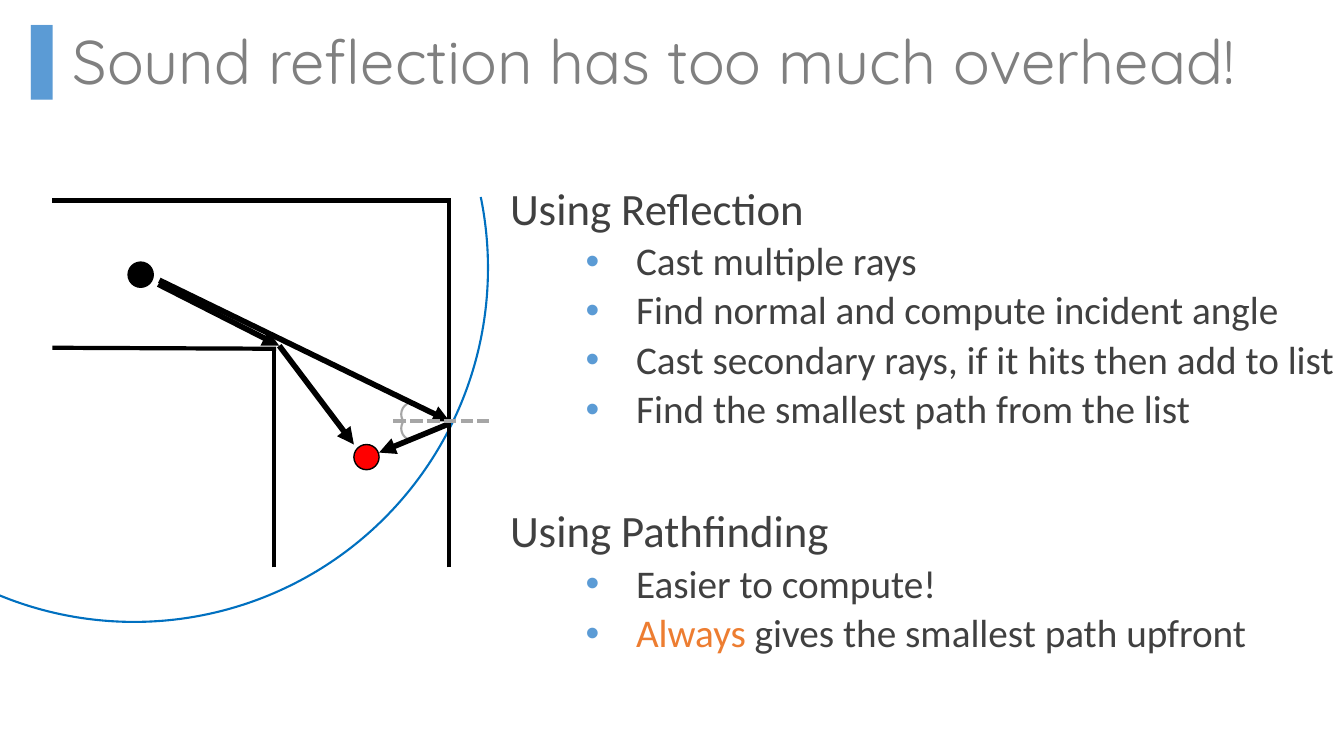
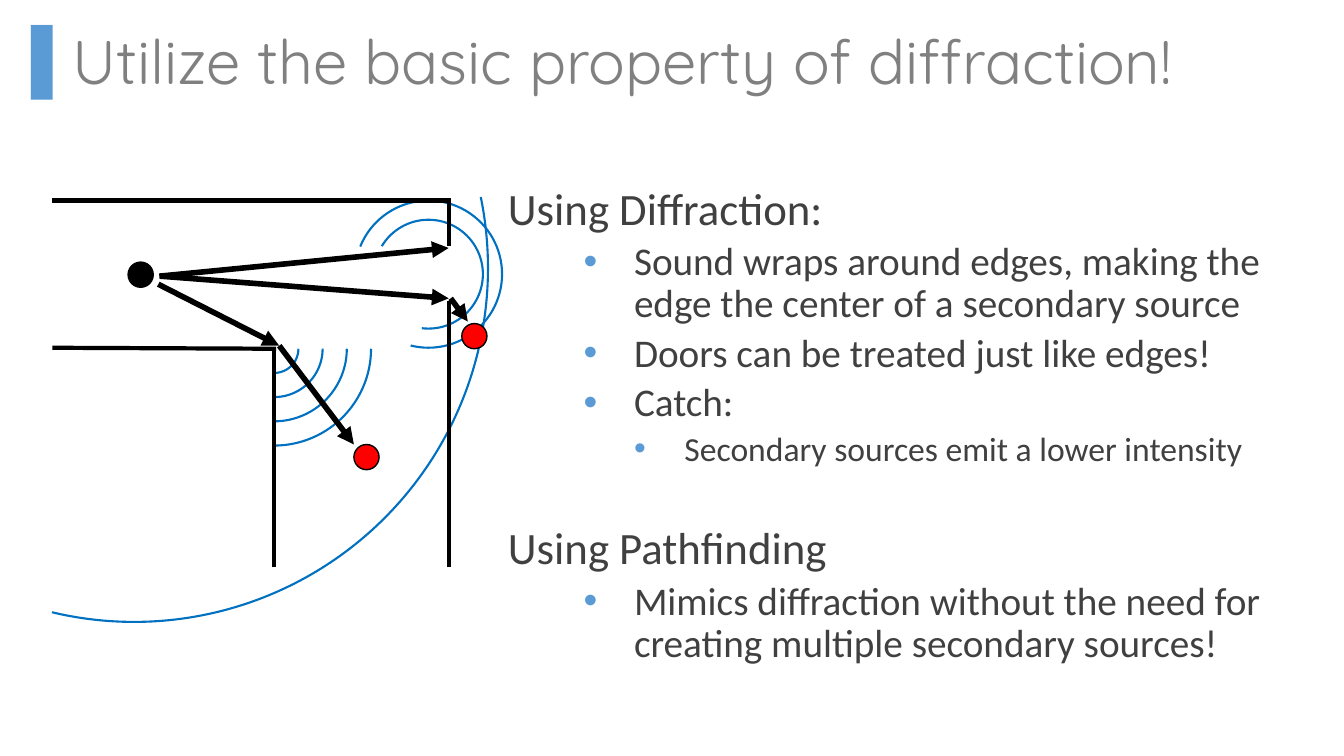
"""Build two slides comparing sound reflection and diffraction with pathfinding."""
from lxml import etree
from pptx import Presentation, util as u
from pptx.dml.color import RGBColor
from pptx.enum import dml, shapes
from pptx.oxml import ns

BLACK = RGBColor(0x00, 0x00, 0x00)
RED = RGBColor(0xFF, 0x00, 0x00)
WAVE = RGBColor(0x00, 0x70, 0xC0)
ACCENT = RGBColor(0x5B, 0x9B, 0xD5)
ORANGE = RGBColor(0xED, 0x7D, 0x31)
GREY = RGBColor(0x80, 0x80, 0x80)
PALE = RGBColor(0xA6, 0xA6, 0xA6)
INK = RGBColor(0x40, 0x40, 0x40)

WALL = {"color": BLACK, "width": 3}
RAY = {"color": BLACK, "width": 4, "arrow": True}
DASH = {"color": PALE, "width": 3, "dash": dml.MSO_LINE.SQUARE_DOT}

HEAD = {"size": 32, "before": 10, "left": 0}
ITEM = {"size": 28, "before": 5, "left": 1.25, "hang": 0.5, "mark": "•"}
SUB = {**ITEM, "size": 24, "left": 1.75}
TITLE = {"size": 44, "before": 0, "left": 0.62, "hang": 0.62, "mark": "▐",
         "font": "Quicksand", "color": GREY, "lead": 1.0}

SOURCE = (1.33, 2.66)
EDGE = (2.72, 3.46)
DOOR = (4.25, 2.72)
ROOM = [
    (0.52, 1.99, 4.47, 1.99, WALL),
    (0.52, 3.45, 2.74, 3.46, WALL),
    (2.72, 5.63, 2.72, 3.45, WALL),
    (1.57, 2.82, 2.77, 3.43, RAY),
    (2.77, 3.43, 3.51, 4.41, RAY),
]
DOTS = [(1.27, 2.6, BLACK), (3.51, 4.41, RED)]

PAGES = [
    {
        "title": "Sound reflection has too much overhead!",
        "left": 4.96,
        "arcs": [
            (*SOURCE, 3.51, 348.4, 112.4, WAVE),
            (4.1, 4.11, 0.12, 150, 240, PALE),
            (4.1, 4.25, 0.12, 120, 210, PALE),
        ],
        "lines": [
            (4.45, 5.63, 4.45, 1.99, WALL),
            (1.58, 2.78, 4.46, 4.18, RAY),
            (4.44, 4.21, 3.76, 4.49, RAY),
            (3.9, 4.18, 4.85, 4.18, DASH),
        ],
        "dots": [],
        "text": [
            ("Using Reflection", HEAD),
            ("Cast multiple rays", ITEM),
            ("Find normal and compute incident angle", ITEM),
            ("Cast secondary rays, if it hits then add to list", ITEM),
            ("Find the smallest path from the list", ITEM),
            ("Using Pathfinding", {**HEAD, "before": 55}),
            ("Easier to compute!", ITEM),
            ("Always| gives the smallest path upfront", ITEM),
        ],
    },
    {
        "title": "Utilize the basic property of diffraction!",
        "left": 4.94,
        "arcs": [
            (*DOOR, 0.54, 211, 97, WAVE),
            (*DOOR, 0.73, 202, 104, WAVE),
            *[(*EDGE, r, 0, 90, WAVE) for r in (0.24, 0.48, 0.72, 0.96)],
            (*SOURCE, 3.51, 348.4, 103.4, WAVE),
        ],
        "lines": [
            (4.45, 2.44, 4.45, 1.99, WALL),
            (4.45, 5.63, 4.45, 2.99, WALL),
            (1.59, 2.74, 4.45, 2.96, RAY),
            (4.47, 2.96, 4.64, 3.19, RAY),
            (1.58, 2.74, 4.45, 2.46, RAY),
        ],
        "dots": [(4.58, 3.21, RED)],
        "text": [
            ("Using Diffraction:", HEAD),
            ("Sound wraps around edges, making the edge the center of a secondary source", ITEM),
            ("Doors can be treated just like edges!", ITEM),
            ("Catch:", ITEM),
            ("Secondary sources emit a lower intensity", SUB),
            ("Using Pathfinding", {**HEAD, "before": 41}),
            ("Mimics diffraction without the need for creating multiple secondary sources!", ITEM),
        ],
    },
]


def add_shape(slide, kind, left, top, size, color, width):
    """Add a square-boxed shape with a plain outline."""
    item = slide.shapes.add_shape(kind, *map(u.Inches, (left, top, size, size)))
    item.shadow.inherit = False
    item.line.color.rgb = color
    item.line.width = u.Pt(width)
    return item


def add_text(slide, left, top, width, height, rows):
    """Add a text box; a bar in a row ends its orange lead-in."""
    box = slide.shapes.add_textbox(*map(u.Inches, (left, top, width, height)))
    frame = box.text_frame
    frame.word_wrap = True
    for num, (words, form) in enumerate(rows):
        para = frame.add_paragraph() if num else frame.paragraphs[0]
        para.line_spacing = form.get("lead", 0.9)
        para.space_before = u.Pt(form["before"])
        props = para._p.get_or_add_pPr()
        props.set("marL", str(u.Inches(form["left"])))
        props.set("indent", str(-u.Inches(form.get("hang", 0))))
        if "mark" in form:
            tint = etree.SubElement(props, ns.qn("a:buClr"))
            etree.SubElement(tint, ns.qn("a:srgbClr"), val=str(ACCENT))
            etree.SubElement(props, ns.qn("a:buFont"), typeface="Arial")
            etree.SubElement(props, ns.qn("a:buChar"), char=form["mark"])
        parts = words.split("|")
        for part in parts:
            run = para.add_run()
            run.text = part
            look = {"name": form.get("font", "Calibri"), "size": u.Pt(form["size"])}
            for key, value in look.items():
                setattr(run.font, key, value)
            lead = len(parts) > 1 and part == parts[0]
            run.font.color.rgb = ORANGE if lead else form.get("color", INK)


deck = Presentation()
deck.slide_width = u.Inches(13.33)
deck.slide_height = u.Inches(7.5)

for page in PAGES:
    slide = deck.slides.add_slide(deck.slide_layouts[6])
    for x, y, r, start, end, color in page["arcs"]:
        arc = add_shape(slide, shapes.MSO_SHAPE.ARC, x - r, y - r, 2 * r, color, 1.5)
        arc.fill.background()
        for num, angle in enumerate((start, end)):
            arc.adjustments[num] = angle * 0.6
    for *ends, form in ROOM + page["lines"]:
        line = slide.shapes.add_connector(
            shapes.MSO_CONNECTOR.STRAIGHT, *map(u.Inches, ends))
        line.line.color.rgb = form["color"]
        line.line.width = u.Pt(form["width"])
        if "dash" in form:
            line.line.dash_style = form["dash"]
        if "arrow" in form:
            etree.SubElement(line.line._get_or_add_ln(), ns.qn("a:tailEnd"), type="triangle")
        etree.SubElement(line._element.spPr, ns.qn("a:effectLst"))
    for x, y, color in DOTS + page["dots"]:
        dot = add_shape(slide, shapes.MSO_SHAPE.OVAL, x, y, 0.25, BLACK, 1)
        dot.fill.solid()
        dot.fill.fore_color.rgb = color
    add_text(slide, 0, 0.18, 13.33, 1.48, [(page["title"], TITLE)])
    add_text(slide, page["left"], 1.8, 13.34 - page["left"], 5.7, page["text"])

deck.save("out.pptx")
